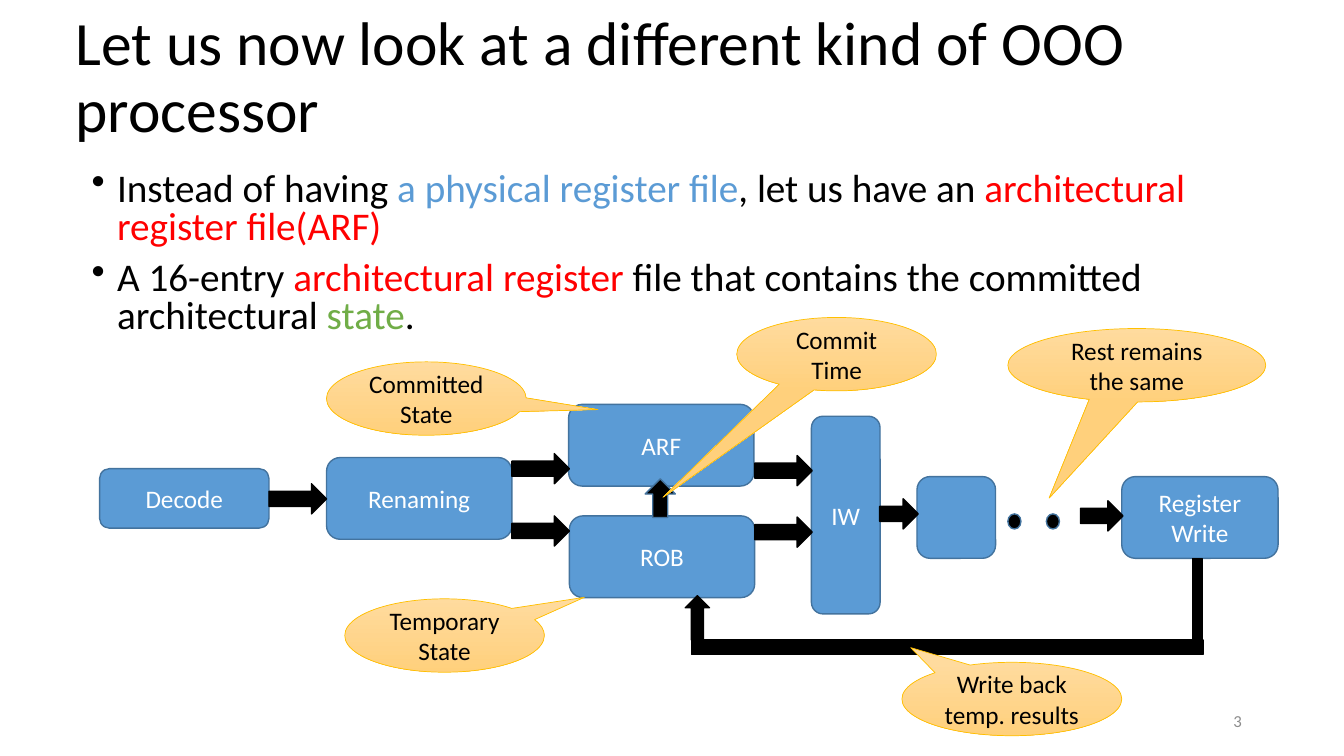
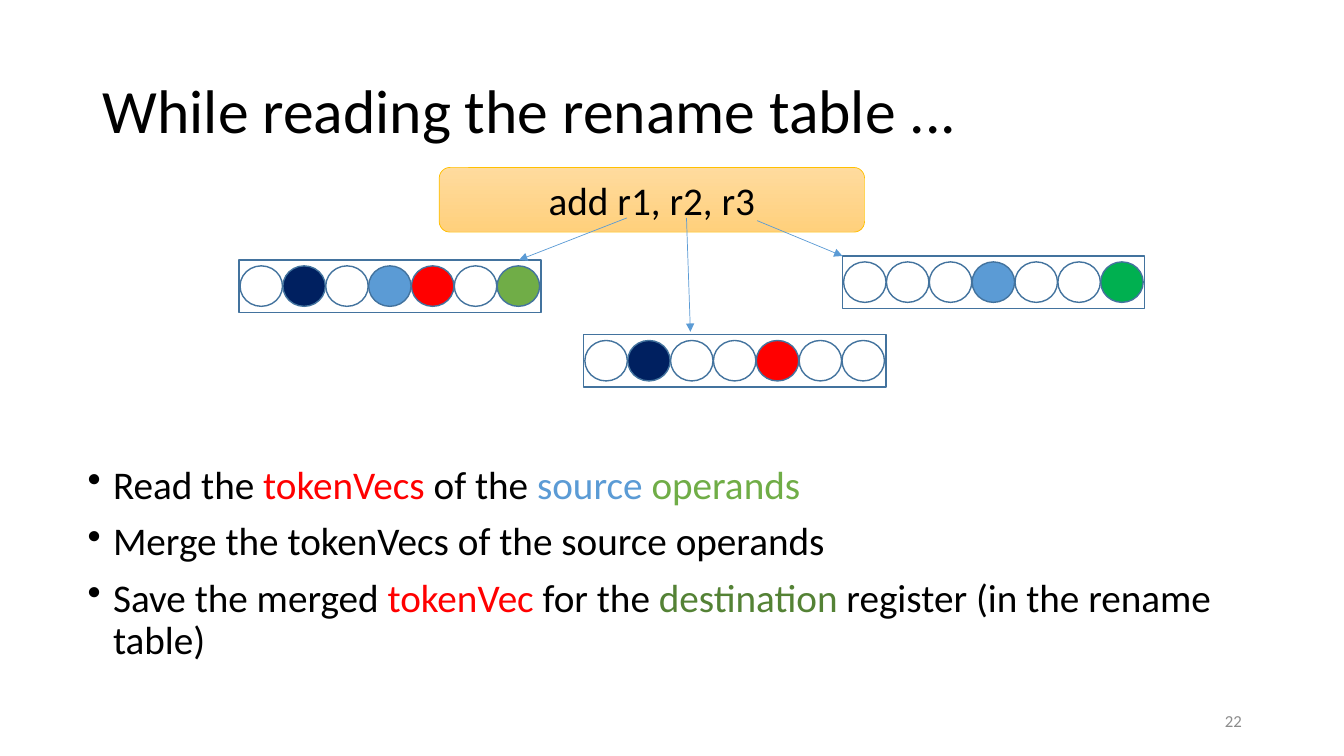
from lxml.etree import SubElement
from pptx import Presentation
from pptx.dml.color import RGBColor
from pptx.enum.shapes import MSO_CONNECTOR, MSO_SHAPE as Shape
from pptx.enum.text import MSO_ANCHOR as Anchor, PP_ALIGN as Align
from pptx.oxml.ns import qn
from pptx.util import Cm, Pt


class Theme:
    font = "Calibri"
    black, white, gray = "000000", "FFFFFF", "8C8C8C"
    blue, edge, red = "5B9BD5", "43739E", "FF0000"
    green, dark_green, bright_green = "70AD47", "548235", "00B050"
    navy, gold = "002060", "FFC000"
    gradient = "FFDB9E", "FFD07C"
    title, body, label, number = 44, 28, 18, 12
    thin, normal = 0.5, 1


T = Theme

PIPELINE = {
    "title": "Let us now look at a different kind of OOO processor",
    "title_at": (1.65, 0.15),
    "body": [
        ["Instead of having ", ("a physical register file", T.blue),
         ", let us have an ", ("architectural register file(ARF)", T.red)],
        ["A 16-entry ", ("architectural register", T.red),
         " file that contains the committed architectural ",
         ("state", T.green), "."],
    ],
    "body_box": (2.06, 4.22, 29.21, 4.65),
    "spacing": 0.8,
    "number": "3",
}
RENAME = {
    "title": "While reading the rename table ...",
    "title_at": (2.34, 1.02),
    "body": [
        ["Read the ", ("tokenVecs ", T.red), "of the ",
         ("source ", T.blue), ("operands", T.green)],
        ["Merge the tokenVecs of the source operands"],
        ["Save the merged ", ("tokenVec ", T.red), "for the ",
         ("destination", T.dark_green), " register (in the rename table)"],
    ],
    "body_box": (1.96, 11.61, 29.21, 5.94),
    "spacing": 0.9,
    "number": "22",
}

STAGES = [
    (["Decode"], (2.51, 11.81, 4.27, 1.5)),
    (["Renaming"], (8.23, 11.53, 4.67, 2.06)),
    (["ARF"], (14.33, 10.19, 4.67, 2.06)),
    (["ROB"], (14.35, 13, 4.67, 2.06)),
    (["IW"], (20.45, 10.49, 1.73, 4.98)),
    ([], (23.11, 12.01, 1.98, 2.06)),
    (["Register", "Write"], (28.27, 12.01, 3.94, 2.06)),
]
FLOW_ARROWS = [
    (6.78, 12.19, 1.45), (12.9, 11.43, 1.45), (12.9, 13, 1.45),
    (19.02, 11.48, 1.45), (19.02, 13.03, 1.45),
    (22.17, 12.57, 0.97), (27.23, 12.62, 1.07),
]
FLOW_HEIGHT = 0.76
DOTS_X = [25.4, 26.37]
COMMIT_ARROW = (16.26, 12.07, 0.76, 0.97)
WRITE_BACK = [
    (Shape.RECTANGLE, (17.42, 16.13, 12.9, 0.36)),
    (Shape.UP_ARROW, (17.27, 15.01, 0.61, 1.12)),
    (Shape.RECTANGLE, (30.05, 14.07, 0.25, 2.06)),
]
CALLOUTS = [
    ("Committed State", (8.23, 9.12, 5.03), (0.86, 0.15)),
    ("Temporary State", (8.69, 15.09, 5.03), (0.7, -0.52)),
    ("Commit Time", (18.57, 8, 5.03), (-0.87, 1.95)),
    ("Rest remains the same", (25.4, 8.28, 6.5), (-0.34, 1.81)),
    ("Write back temp. results", (22.73, 16.69, 5.54), (-0.46, -0.7)),
]
CALLOUT_HEIGHT = 1.85

INSTRUCTION = ("add r1, r2, r3", (11.07, 4.22, 10.72, 1.63))
TOKEN_VECS = [
    ((21.23, 6.45), {3: T.blue, 6: T.bright_green}),
    ((14.71, 8.43), {1: T.navy, 4: T.red}),
    ((6.02, 6.55), {1: T.navy, 3: T.blue, 4: T.red, 6: T.green}),
]
TOKENS, TOKEN_PITCH = 7, 1.08
POINTERS = [
    (19.08, 5.56, 21.23, 6.45),
    (17.3, 5.49, 17.4, 8.36),
    (15.8, 5.49, 13.08, 6.55),
]


def rgb(color):
    return RGBColor.from_string(color)


def write(sp, paragraphs, size=T.label, color=T.black, align=Align.LEFT,
          anchor=Anchor.MIDDLE, spacing=None, bullet=False):
    tf = sp.text_frame
    tf.word_wrap = True
    tf.vertical_anchor = anchor
    for i, runs in enumerate(paragraphs):
        p = tf.add_paragraph() if i else tf.paragraphs[0]
        p.alignment = align
        if spacing:
            p.line_spacing = spacing
        if bullet:
            p.space_before = Pt(10)
            pPr = p._p.get_or_add_pPr()
            pPr.set("marL", str(Cm(0.64)))
            pPr.set("indent", str(-Cm(0.64)))
            SubElement(pPr, qn("a:buChar"), char="•")
        for run in [runs] if isinstance(runs, str) else runs:
            text, run_color = (run, color) if isinstance(run, str) else run
            r = p.add_run()
            r.text = text
            r.font.name = T.font
            r.font.size = Pt(size)
            r.font.color.rgb = rgb(run_color)


def add_text(s, box, paragraphs, **fmt):
    write(s.shapes.add_textbox(*map(Cm, box)), paragraphs, **fmt)


def draw(shapes, kind, box, fill=None, line=T.edge, width=T.normal):
    sp = shapes.add_shape(kind, *map(Cm, box))
    sp.shadow.inherit = False
    if fill is None:
        sp.fill.background()
    elif isinstance(fill, str):
        sp.fill.solid()
        sp.fill.fore_color.rgb = rgb(fill)
    else:
        sp.fill.gradient()
        sp.fill.gradient_angle = 270
        for stop, color in zip(sp.fill.gradient_stops, fill):
            stop.color.rgb = rgb(color)
    sp.line.color.rgb = rgb(line)
    sp.line.width = Pt(width)
    return sp


def draw_gold(s, kind, box, text, size):
    sp = draw(s.shapes, kind, box, T.gradient, T.gold, T.thin)
    write(sp, [text], size=size, align=Align.CENTER)
    return sp


def draw_pointer(s, ends):
    line = s.shapes.add_connector(MSO_CONNECTOR.STRAIGHT, *map(Cm, ends))
    line.line.color.rgb = rgb(T.blue)
    line.line.width = Pt(T.thin)
    SubElement(line.line._get_or_add_ln(), qn("a:tailEnd"), type="triangle")
    SubElement(line._element.spPr, qn("a:effectLst"))


def draw_token_vec(s, left, top, colors):
    shapes = s.shapes.add_group_shape().shapes
    draw(shapes, Shape.RECTANGLE, (left, top, 7.62, 1.32))
    for i in range(TOKENS):
        box = (left + 0.03 + i * TOKEN_PITCH, top + 0.15, 1.07, 1.02)
        draw(shapes, Shape.OVAL, box, colors.get(i))


def new_slide(prs, content):
    s = prs.slides.add_slide(prs.slide_layouts[6])
    add_text(s, (*content["title_at"], 29.21, 3.68), [content["title"]],
             size=T.title, spacing=0.9)
    add_text(s, content["body_box"], content["body"], size=T.body,
             anchor=Anchor.TOP, spacing=content["spacing"], bullet=True)
    add_text(s, (23.93, 17.65, 7.62, 1.02), [content["number"]],
             size=T.number, color=T.gray, align=Align.RIGHT)
    return s


def build_pipeline(prs):
    s = new_slide(prs, PIPELINE)
    for lines, box in STAGES:
        sp = draw(s.shapes, Shape.ROUNDED_RECTANGLE, box, T.blue)
        write(sp, lines, color=T.white, align=Align.CENTER)
    for box in FLOW_ARROWS:
        draw(s.shapes, Shape.RIGHT_ARROW, (*box, FLOW_HEIGHT), T.black, T.black)
    for x in DOTS_X:
        draw(s.shapes, Shape.OVAL, (x, 12.95, 0.33, 0.38), T.black)
    draw(s.shapes, Shape.UP_ARROW, COMMIT_ARROW, T.black)
    for kind, box in WRITE_BACK:
        draw(s.shapes, kind, box, T.black, T.black)
    for text, box, tip in CALLOUTS:
        sp = draw_gold(s, Shape.OVAL_CALLOUT, (*box, CALLOUT_HEIGHT), text, T.label)
        for i, value in enumerate(tip):
            sp.adjustments[i] = value


def build_rename(prs):
    s = new_slide(prs, RENAME)
    text, box = INSTRUCTION
    draw_gold(s, Shape.ROUNDED_RECTANGLE, box, text, T.body)
    for (left, top), colors in TOKEN_VECS:
        draw_token_vec(s, left, top, colors)
    for ends in POINTERS:
        draw_pointer(s, ends)


def main():
    prs = Presentation()
    prs.slide_width, prs.slide_height = Cm(33.87), Cm(19.05)
    build_pipeline(prs)
    build_rename(prs)
    prs.save("out.pptx")


if __name__ == "__main__":
    main()
